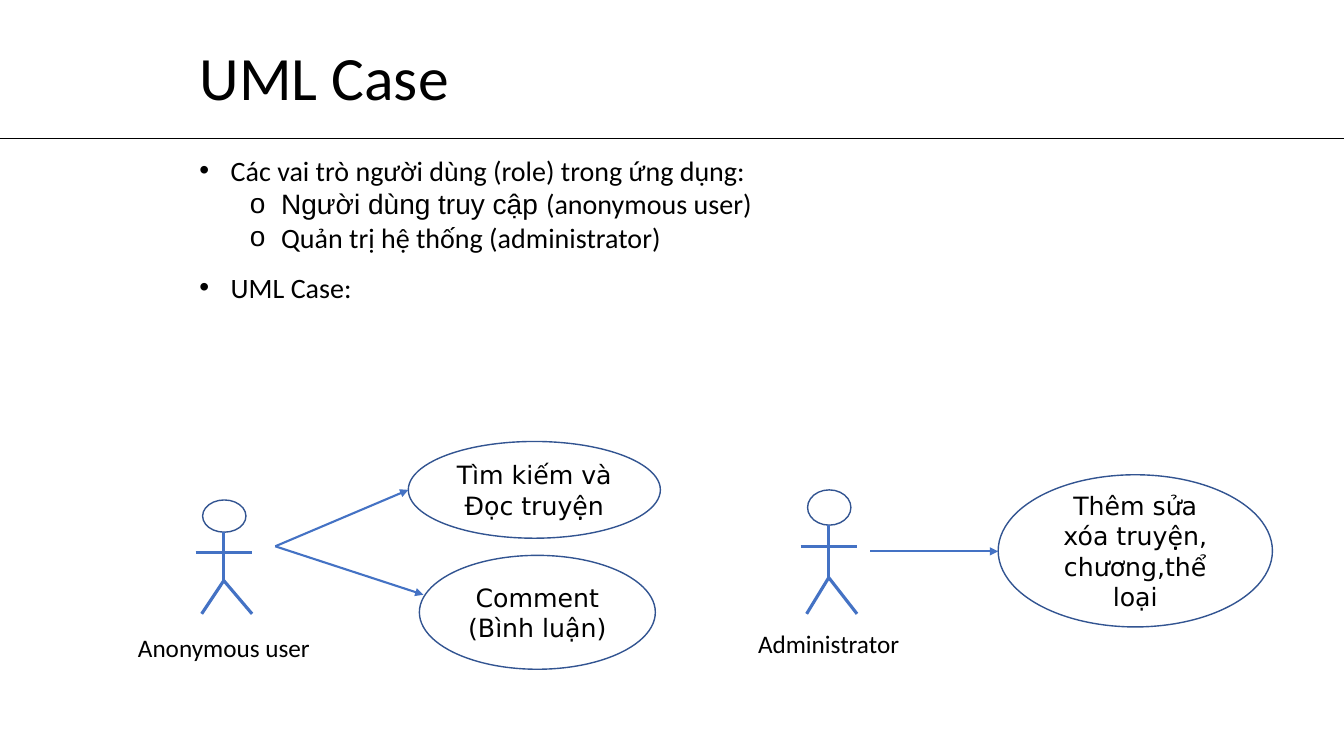
from lxml.etree import SubElement
from pptx import Presentation
from pptx.dml.color import RGBColor
from pptx.enum.shapes import MSO_CONNECTOR, MSO_SHAPE
from pptx.enum.text import MSO_ANCHOR, MSO_AUTO_SIZE, PP_ALIGN
from pptx.oxml.ns import qn
from pptx.util import Inches, Pt

COLORS = {"text": "000000", "line": "4472C4", "outline": "325491"}


def color(name):
    """Return the named colour."""
    return RGBColor.from_string(COLORS[name])


def format_run(run, size, font="Calibri"):
    """Set the font, size and colour of a run."""
    run.font.name = font
    run.font.size = Pt(size)
    run.font.color.rgb = color("text")


def add_title(slide, text):
    """Place and format the title placeholder."""
    title = slide.shapes.title
    title.left, title.top = Inches(1.88), Inches(0.29)
    title.width, title.height = Inches(9.65), Inches(1.01)
    frame = title.text_frame
    frame.text = text
    frame.vertical_anchor = MSO_ANCHOR.MIDDLE
    paragraph = frame.paragraphs[0]
    paragraph.alignment = PP_ALIGN.LEFT
    paragraph.line_spacing = 0.9
    format_run(paragraph.runs[0], 44)


def add_line(shapes, start, end, width, line_color="line", arrow=False):
    """Draw a straight line, with an arrowhead at its end if wanted."""
    points = [Inches(value) for value in (*start, *end)]
    connector = shapes.add_connector(MSO_CONNECTOR.STRAIGHT, *points)
    connector.line.color.rgb = color(line_color)
    connector.line.width = Pt(width)
    if arrow:
        SubElement(connector.line._get_or_add_ln(), qn("a:tailEnd"), type="triangle")
    SubElement(connector._element.spPr, qn("a:effectLst"))
    return connector


def add_ellipse(shapes, left, top, width, height, lines=()):
    """Draw an outlined ellipse with centred text lines."""
    box = [Inches(value) for value in (left, top, width, height)]
    ellipse = shapes.add_shape(MSO_SHAPE.OVAL, *box)
    ellipse.shadow.inherit = False
    ellipse.fill.background()
    ellipse.line.color.rgb = color("outline")
    ellipse.line.width = Pt(1)
    if lines:
        frame = ellipse.text_frame
        frame.text = "\n".join(lines)
        frame.vertical_anchor = MSO_ANCHOR.MIDDLE
        for paragraph in frame.paragraphs:
            paragraph.alignment = PP_ALIGN.CENTER
            format_run(paragraph.runs[0], 18, "DejaVu Sans")


def add_text_box(slide, left, top, width, height, wrap):
    """Add a text box that fits its text and return its frame."""
    box = [Inches(value) for value in (left, top, width, height)]
    frame = slide.shapes.add_textbox(*box).text_frame
    frame.word_wrap = wrap
    frame.auto_size = MSO_AUTO_SIZE.SHAPE_TO_FIT_TEXT
    return frame


def add_bullets(slide, top, height, items):
    """Add bulleted paragraphs given as a level and (text, font) runs."""
    frame = add_text_box(slide, 1.88, top, 7.15, height, True)
    for index, (level, runs) in enumerate(items):
        paragraph = frame.paragraphs[0] if index == 0 else frame.add_paragraph()
        paragraph.level = level
        properties = paragraph._p.get_or_add_pPr()
        properties.set("marL", str(Inches(0.31 + 0.5 * level)))
        properties.set("indent", str(-Inches(0.31)))
        SubElement(properties, qn("a:buFont"), typeface="Arial")
        SubElement(properties, qn("a:buChar"), char="•o"[level])
        for text, font in runs:
            run = paragraph.add_run()
            run.text = text
            format_run(run, 20, font)


def add_label(slide, left, top, width, text):
    """Add the name of an actor."""
    frame = add_text_box(slide, left, top, width, 0.4, False)
    frame.text = text
    format_run(frame.paragraphs[0].runs[0], 18)


def add_actor(slide, left, head_top, head_height, arms, hips):
    """Draw a grouped stick figure from its left edge and body heights."""
    shapes = slide.shapes.add_group_shape().shapes
    center, right, feet = left + 0.28, left + 0.56, 6.09
    add_ellipse(shapes, left + 0.07, head_top, 0.43, head_height)
    for start, end in (
        ((left, arms), (right, arms)),
        ((center, head_top + head_height), (center, hips)),
        ((center, hips), (left + 0.06, feet)),
        ((center, hips), (right, feet)),
    ):
        add_line(shapes, start, end, 2.25)


def main():
    """Build the slide and save it."""
    presentation = Presentation()
    presentation.slide_width = Inches(13.33)
    presentation.slide_height = Inches(7.5)
    slide = presentation.slides.add_slide(presentation.slide_layouts[5])
    shapes = slide.shapes

    add_title(slide, "UML Case")
    add_line(shapes, (0, 1.37), (13.33, 1.37), 0.5, "text")
    add_bullets(slide, 1.47, 1.11, [
        (0, [("Các vai trò người dùng (role) trong ứng dụng:", "Calibri")]),
        (1, [("Người dùng truy cập ", "Arial"), ("(anonymous user)", "Calibri")]),
        (1, [("Quản trị hệ thống (administrator)", "Calibri")]),
    ])
    add_bullets(slide, 2.63, 0.44, [(0, [("UML Case:", "Calibri")])])

    add_actor(slide, 1.94, 4.96, 0.32, 5.48, 5.76)
    add_label(slide, 1.27, 6.22, 2.1, "Anonymous user")
    add_actor(slide, 7.94, 4.86, 0.35, 5.42, 5.73)
    add_label(slide, 7.42, 6.18, 1.61, "Administrator")

    add_ellipse(shapes, 4.05, 4.38, 2.5, 0.96, ["Tìm kiếm và Đọc truyện"])
    add_ellipse(shapes, 4.16, 5.51, 2.34, 1.13, ["Comment", "(Bình luận)"])
    add_ellipse(shapes, 9.9, 4.71, 2.72, 1.51, ["Thêm sửa xóa truyện, chương,thể loại"])
    for start, end in (
        ((2.73, 5.42), (4.05, 4.86)),
        ((2.73, 5.42), (4.2, 5.9)),
        ((8.63, 5.47), (9.9, 5.47)),
    ):
        add_line(shapes, start, end, 1.5, arrow=True)

    presentation.save("out.pptx")


if __name__ == "__main__":
    main()
